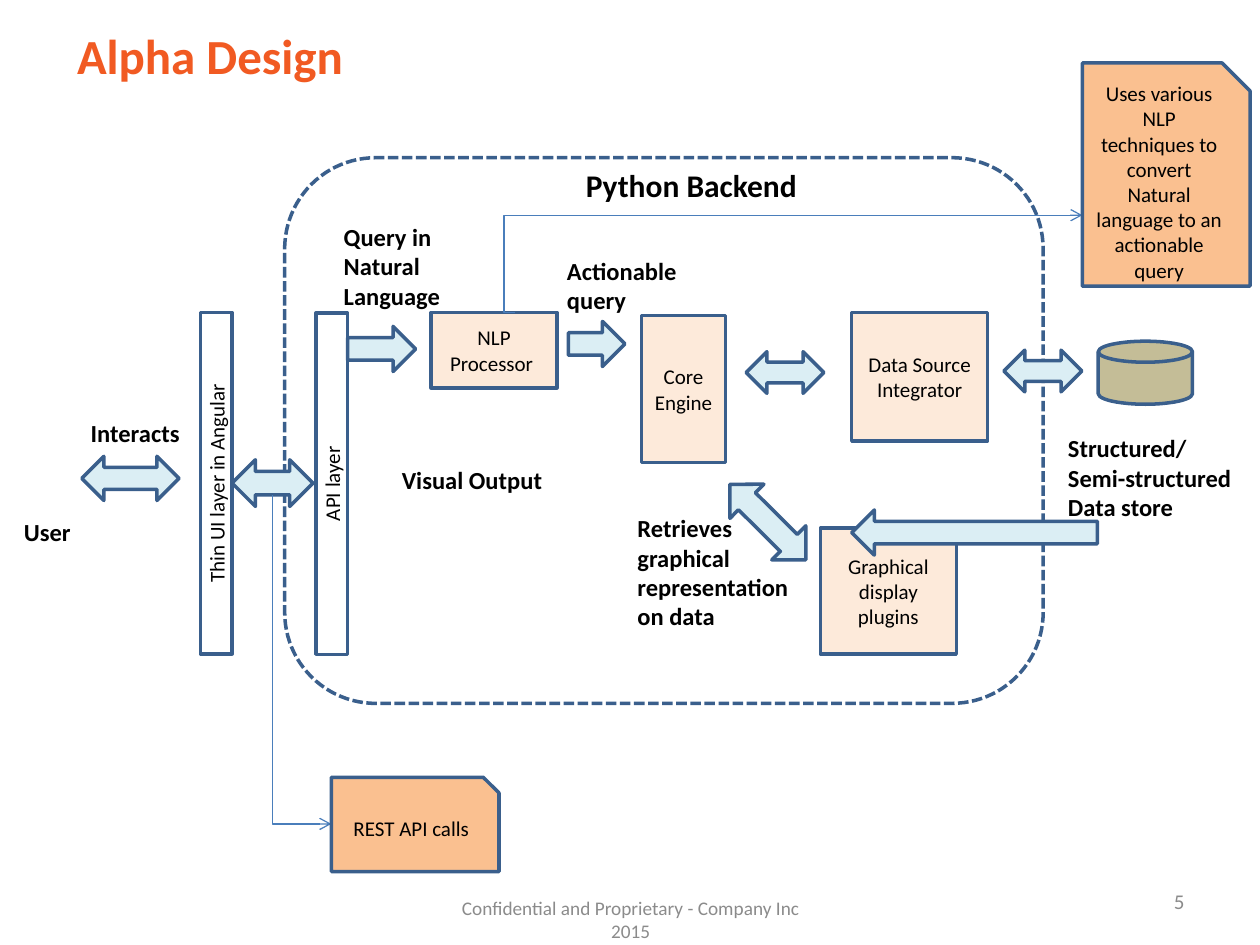
import dataclasses

import lxml.etree
import pptx
import pptx.dml.color
import pptx.enum.dml
import pptx.enum.shapes
import pptx.enum.text
import pptx.oxml.ns
import pptx.util

Cm = pptx.util.Cm
Shape = pptx.enum.shapes.MSO_SHAPE
Align = pptx.enum.text.PP_ALIGN
Anchor = pptx.enum.text.MSO_ANCHOR


@dataclasses.dataclass(frozen=True)
class Theme:
    font: str = "Calibri"
    title: str = "F15A22"
    text: str = "000000"
    muted: str = "8B8B8B"
    outline: str = "3A5F8C"
    connector: str = "4A7EBB"
    layer: str = "FFFFFF"
    component: str = "FDEADA"
    arrow: str = "DBEEF4"
    store: str = "C4BD97"
    note: str = "FAC090"
    title_size: float = 28
    heading_size: float = 18
    label_size: float = 14
    body_size: float = 12
    footer_size: float = 11
    outline_width: float = 2
    connector_width: float = 0.75


@dataclasses.dataclass(frozen=True)
class Box:
    left: float
    top: float
    width: float
    height: float

    def inner(self, left, top, width, height):
        return Box(self.left + left, self.top + top, width, height)

    def lengths(self):
        return Cm(self.left), Cm(self.top), Cm(self.width), Cm(self.height)


THEME = Theme()


def rgb(color):
    return pptx.dml.color.RGBColor.from_string(color)


def write(shape, text, size, color=THEME.text, bold=False, align=Align.LEFT, anchor=Anchor.TOP):
    frame = shape.text_frame
    frame.word_wrap = True
    frame.vertical_anchor = anchor
    frame.text = text
    paragraph = frame.paragraphs[0]
    paragraph.alignment = align
    paragraph.font.name = THEME.font
    paragraph.font.size = pptx.util.Pt(size)
    paragraph.font.bold = bold
    paragraph.font.color.rgb = rgb(color)


def add_label(slide, box, text, size=THEME.label_size):
    write(slide.shapes.add_textbox(*box.lengths()), text, size, bold=True)


def add_figure(slide, box, kind, fill=None, text="", rotation=0):
    shape = slide.shapes.add_shape(kind, *box.lengths())
    shape.shadow.inherit = False
    shape.rotation = rotation
    if fill:
        shape.fill.solid()
        shape.fill.fore_color.rgb = rgb(fill)
    else:
        shape.fill.background()
    shape.line.color.rgb = rgb(THEME.outline)
    shape.line.width = pptx.util.Pt(THEME.outline_width)
    if text:
        write(shape, text, THEME.body_size, align=Align.CENTER, anchor=Anchor.MIDDLE)
    return shape


def add_arrow(slide, box, kind=Shape.LEFT_RIGHT_ARROW, rotation=0):
    add_figure(slide, box, kind, THEME.arrow, rotation=rotation)


def add_elbow(slide, start, end, bend):
    connector = slide.shapes.add_connector(
        pptx.enum.shapes.MSO_CONNECTOR.ELBOW, *map(Cm, start + end))
    connector.line.color.rgb = rgb(THEME.connector)
    connector.line.width = pptx.util.Pt(THEME.connector_width)
    qn = pptx.oxml.ns.qn
    properties = connector._element.spPr
    guides = properties.find(qn("a:prstGeom")).get_or_add_avLst()
    lxml.etree.SubElement(guides, qn("a:gd"), name="adj1", fmla=f"val {round(bend * 100000)}")
    lxml.etree.SubElement(properties.find(qn("a:ln")), qn("a:tailEnd"), type="arrow")
    lxml.etree.SubElement(properties, qn("a:effectLst"))


def build_title(slide, box):
    title = slide.shapes.title
    title.left, title.top, title.width, title.height = box.lengths()
    write(title, "Alpha Design", THEME.title_size, THEME.title, True, anchor=Anchor.MIDDLE)


def build_footer(slide, box):
    credit = slide.shapes.add_textbox(*box.inner(0, 0.38, 8.05, 1.02).lengths())
    write(credit, "Confidential and Proprietary - Company Inc 2015", THEME.footer_size,
          THEME.muted, align=Align.CENTER, anchor=Anchor.MIDDLE)
    number = slide.shapes.add_textbox(*box.inner(9.52, 0, 5.92, 1.02).lengths())
    write(number, "5", THEME.body_size, THEME.muted, align=Align.RIGHT, anchor=Anchor.MIDDLE)


def build_backend(slide, box):
    frame = add_figure(slide, box, Shape.FLOWCHART_ALTERNATE_PROCESS)
    frame.line.dash_style = pptx.enum.dml.MSO_LINE.SQUARE_DOT
    components = [
        ("NLP Processor ", (2.95, 3.12, 2.54, 1.52)),
        ("Data Source Integrator", (11.43, 3.12, 2.74, 2.59)),
        ("Core Engine ", (7.19, 3.18, 1.7, 2.97)),
        ("Graphical display plugins", (10.8, 7.47, 2.74, 2.54)),
    ]
    for text, place in components:
        add_figure(slide, box.inner(*place), Shape.RECTANGLE, THEME.component, text)
    add_figure(slide, box.inner(-2.49, 6.25, 6.88, 0.64), Shape.RECTANGLE,
               THEME.layer, "API layer", 270)
    add_arrow(slide, box.inner(1.27, 3.4, 1.37, 0.91), Shape.RIGHT_ARROW)
    add_arrow(slide, box.inner(5.72, 3.3, 1.14, 0.91), Shape.RIGHT_ARROW)
    add_arrow(slide, box.inner(9.3, 3.91, 1.57, 0.84))
    add_arrow(slide, box.inner(8.66, 6.86, 2.16, 0.97), rotation=44.8)
    labels = [
        ("Query in Natural Language", (0.94, 1.17, 2.87, 3.2)),
        ("Actionable query", (5.44, 1.85, 2.82, 2.03)),
        ("Visual Output", (2.11, 6.07, 3.94, 1.42)),
        ("Retrieves graphical representation on data", (6.86, 7.04, 3.94, 2.62)),
    ]
    for text, place in labels:
        add_label(slide, box.inner(*place), text)
    add_label(slide, box.inner(5.82, 0.05, 5.82, 1.78), "Python Backend", THEME.heading_size)


def build_store(slide, box):
    add_figure(slide, box.inner(1.9, 0, 1.9, 1.27), Shape.FLOWCHART_MAGNETIC_DISK, THEME.store)
    add_label(slide, box.inner(1.04, 1.73, 3.94, 2.62), "Structured/Semi-structured Data store")
    add_arrow(slide, box.inner(0, 0.18, 1.57, 0.84))
    add_arrow(slide, box.inner(-3.07, 3.4, 4.95, 0.91), Shape.RIGHT_ARROW, 180)


def build_client(slide, box):
    add_figure(slide, box.inner(0.69, 3.12, 6.88, 0.64), Shape.RECTANGLE,
               THEME.layer, "Thin UI layer in Angular", 270)
    add_label(slide, box.inner(0, 3.99, 2.62, 0.84), "User")
    add_label(slide, box.inner(1.35, 2.01, 2.87, 1.42), "Interacts")
    add_arrow(slide, box.inner(1.42, 2.9, 1.96, 0.89))
    add_arrow(slide, box.inner(4.45, 2.97, 1.63, 0.94))


def build_note(slide, box, text, source, entry, bend):
    start = (box.left + source[0], box.top + source[1])
    add_elbow(slide, start, (box.left, box.top + entry), bend)
    add_figure(slide, box, Shape.SNIP_1_RECTANGLE, THEME.note, text)


def main():
    presentation = pptx.Presentation()
    presentation.slide_width, presentation.slide_height = Cm(25.4), Cm(19.05)
    slide = presentation.slides.add_slide(presentation.slide_layouts[5])
    build_title(slide, Box(1.3, 0.25, 22.2, 1.7))
    build_footer(slide, Box(8.69, 17.65, 15.44, 1.4))
    build_backend(slide, Box(5.74, 3.18, 15.29, 11))
    build_store(slide, Box(20.24, 6.88, 4.98, 4.35))
    build_client(slide, Box(0.23, 6.3, 6.08, 6.88))
    build_note(slide, Box(21.82, 1.27, 3.38, 4.5),
               "Uses various NLP techniques to convert Natural language to an actionable query",
               (-11.43, 5.03), 3.07, -0.02)
    build_note(slide, Box(6.68, 15.67, 3.38, 1.9), "REST API calls", (-1.19, -5.69), 0.94, 0)
    presentation.save("out.pptx")


if __name__ == "__main__":
    main()
